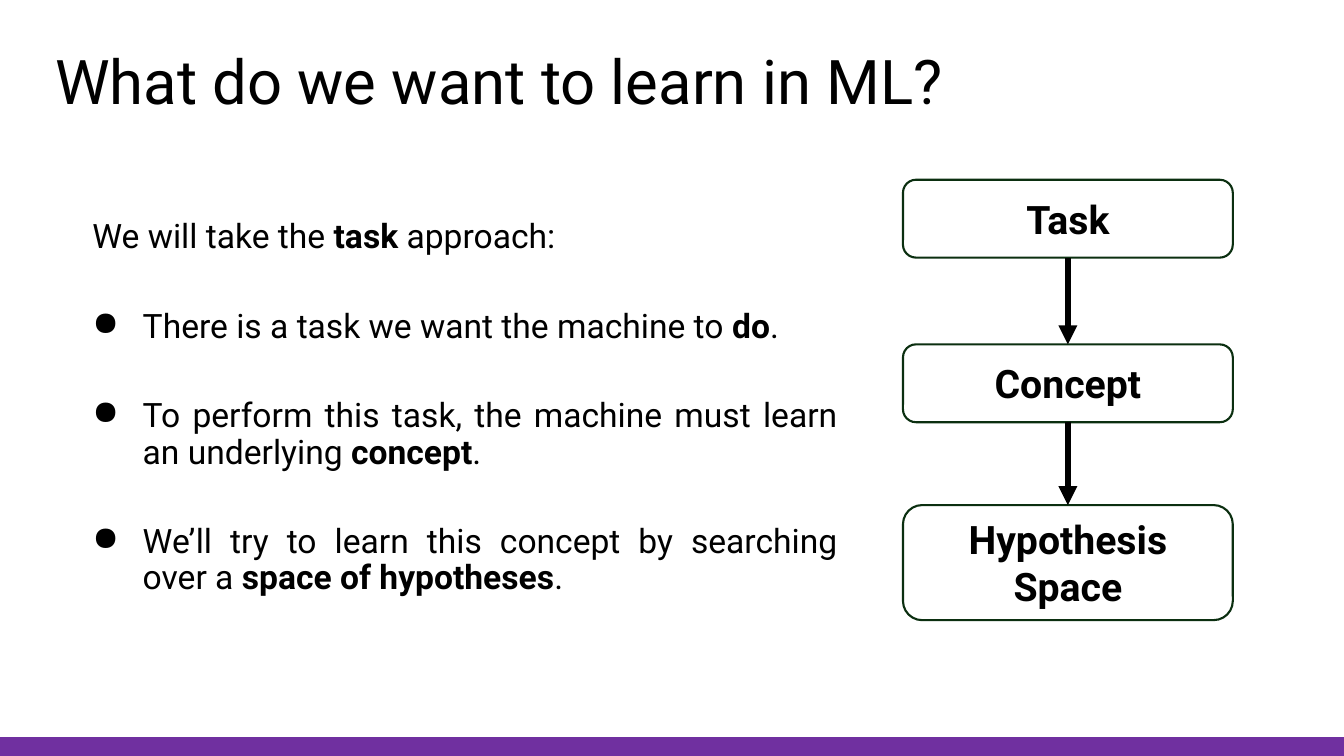
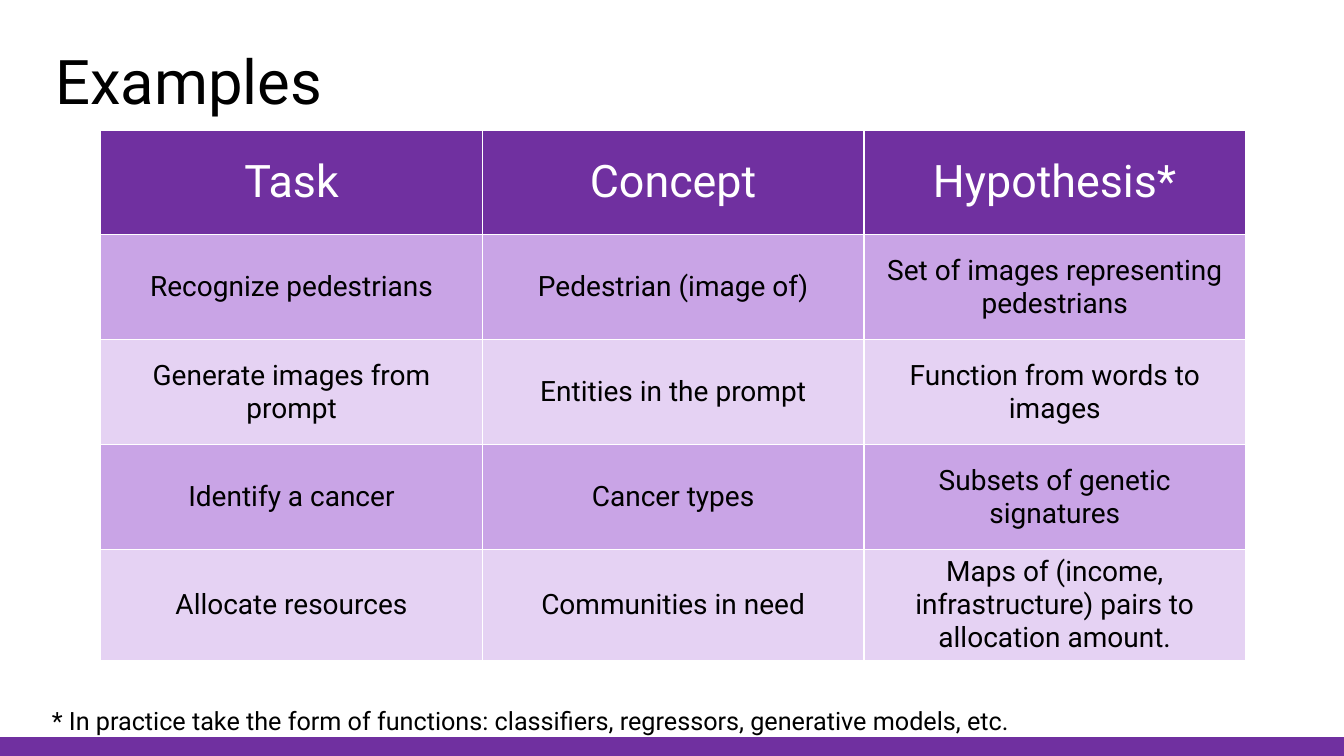
from itertools import pairwise

from lxml.etree import SubElement
from pptx import Presentation
from pptx.dml.color import RGBColor
from pptx.enum.shapes import MSO_CONNECTOR, MSO_SHAPE
from pptx.enum.text import MSO_ANCHOR, PP_ALIGN
from pptx.oxml.ns import qn
from pptx.util import Pt

WIDTH, HEIGHT = 960, 540


def color(hex_string):
    return RGBColor.from_string(hex_string)


class Deck:
    """Hold the shared style and the current slide, and draw elements in points."""

    font = "Roboto"
    text = "000000"
    white = "FFFFFF"
    purple = "7030A0"
    bands = ("C9A4E6", "E5D2F3")
    outline = "0B2F10"

    def __init__(self):
        self.presentation = Presentation()
        self.presentation.slide_width = Pt(WIDTH)
        self.presentation.slide_height = Pt(HEIGHT)
        self.slide = None

    def add_slide(self, title):
        self.slide = self.presentation.slides.add_slide(self.presentation.slide_layouts[6])
        band = self.add_shape(MSO_SHAPE.RECTANGLE, 0, 526.5, WIDTH, 13.5)
        band.fill.solid()
        band.fill.fore_color.rgb = color(self.purple)
        band.line.fill.background()
        frame = self.add_text_frame(32.4, 27.4, 894, 65.5, (7.2, 7.2, 7.2, 7.2))
        frame.vertical_anchor = MSO_ANCHOR.MIDDLE
        frame.text = title
        self.style(frame.paragraphs[0], 44)
        frame.paragraphs[0].line_spacing = 0.9

    def style(self, paragraph, size, hex_string=text, bold=None, align=PP_ALIGN.LEFT):
        paragraph.alignment = align
        paragraph.font.name = self.font
        paragraph.font.size = Pt(size)
        paragraph.font.color.rgb = color(hex_string)
        paragraph.font.bold = bold

    def add_shape(self, kind, left, top, width, height):
        shape = self.slide.shapes.add_shape(kind, Pt(left), Pt(top), Pt(width), Pt(height))
        shape.shadow.inherit = False
        return shape

    def add_text_frame(self, left, top, width, height, insets=(7.2, 3.6, 7.2, 3.6)):
        box = self.slide.shapes.add_textbox(Pt(left), Pt(top), Pt(width), Pt(height))
        frame = box.text_frame
        frame.word_wrap = True
        frame.margin_left, frame.margin_top, frame.margin_right, frame.margin_bottom = map(Pt, insets)
        return frame

    def add_note(self, text, left, top, width, height):
        frame = self.add_text_frame(left, top, width, height)
        frame.text = text
        self.style(frame.paragraphs[0], 18)

    def add_body(self, intro, points, left, top, width, height):
        frame = self.add_text_frame(left, top, width, height, (21.6, 36, 21.6, 7.2))
        for index, text in enumerate([intro, *points]):
            paragraph = frame.add_paragraph() if index else frame.paragraphs[0]
            self.style(paragraph, 24, align=PP_ALIGN.JUSTIFY)
            paragraph.line_spacing = 0.9
            paragraph.space_after = Pt(38)
            for position, part in enumerate(text.split("**")):
                run = paragraph.add_run()
                run.text = part
                if position % 2:
                    run.font.bold = True
            self.indent(paragraph, *((48, -36, "●") if index else (12, 0)))

    def indent(self, paragraph, margin, first_line, bullet=None):
        properties = paragraph._p.get_or_add_pPr()
        properties.set("marL", str(Pt(margin)))
        properties.set("indent", str(Pt(first_line)))
        if bullet:
            mark = properties.makeelement(qn("a:buChar"), {"char": bullet})
            properties.find(qn("a:defRPr")).addprevious(mark)

    def add_box(self, text, left, top, width, height):
        box = self.add_shape(MSO_SHAPE.ROUNDED_RECTANGLE, left, top, width, height)
        box.fill.background()
        box.line.color.rgb = color(self.outline)
        box.line.width = Pt(1.5)
        frame = box.text_frame
        frame.word_wrap = True
        frame.vertical_anchor = MSO_ANCHOR.MIDDLE
        frame.text = text
        self.style(frame.paragraphs[0], 28, bold=True, align=PP_ALIGN.CENTER)
        return box

    def add_arrow(self, upper, lower):
        arrow = self.slide.shapes.add_connector(MSO_CONNECTOR.STRAIGHT, 0, 0, 0, 0)
        arrow.begin_connect(upper, 2)
        arrow.end_connect(lower, 0)
        arrow.line.color.rgb = color(self.text)
        arrow.line.width = Pt(4.5)
        SubElement(arrow.line._get_or_add_ln(), qn("a:tailEnd"), type="triangle")
        SubElement(arrow._element.spPr, qn("a:effectLst"))

    def add_table(self, rows, left, top, column_width, row_height):
        columns = len(rows[0])
        table = self.slide.shapes.add_table(
            len(rows), columns, Pt(left), Pt(top),
            Pt(column_width * columns), Pt(row_height * len(rows)),
        ).table
        table.horz_banding = False
        for row_index, (row, texts) in enumerate(zip(table.rows, rows)):
            row.height = Pt(row_height)
            for cell, text in zip(row.cells, texts):
                cell.text = text
                cell.vertical_anchor = MSO_ANCHOR.MIDDLE
                self.add_borders(cell)
                cell.fill.solid()
                if row_index:
                    fill, size, ink = self.bands[(row_index - 1) % 2], 20, self.text
                else:
                    fill, size, ink = self.purple, 32, self.white
                cell.fill.fore_color.rgb = color(fill)
                self.style(cell.text_frame.paragraphs[0], size, ink, False, PP_ALIGN.CENTER)

    def add_borders(self, cell):
        properties = cell._tc.get_or_add_tcPr()
        for side in ("lnL", "lnR", "lnT", "lnB"):
            line = SubElement(properties, qn(f"a:{side}"), w=str(Pt(1)))
            fill = SubElement(line, qn("a:solidFill"))
            SubElement(fill, qn("a:srgbClr"), val=self.white)


def main():
    deck = Deck()

    deck.add_slide("What do we want to learn in ML?")
    deck.add_body(
        "We will take the **task** approach:",
        [
            "There is a task we want the machine to **do**.",
            "To perform this task, the machine must learn an underlying **concept**.",
            "We’ll try to learn this concept by searching over a **space of hypotheses**.",
        ],
        32.4, 121, 587.5, 358.6,
    )
    steps = [("Task", 128.4, 55.6), ("Concept", 246, 55.6), ("Hypothesis Space", 360.8, 82.2)]
    boxes = [deck.add_box(text, 645, top, 235.6, height) for text, top, height in steps]
    for upper, lower in pairwise(boxes):
        deck.add_arrow(upper, lower)

    deck.add_slide("Examples")
    deck.add_table(
        [
            ("Task", "Concept", "Hypothesis*"),
            ("Recognize pedestrians", "Pedestrian (image of)", "Set of images representing pedestrians"),
            ("Generate images from prompt", "Entities in the prompt", "Function from words to images"),
            ("Identify a cancer", "Cancer types", "Subsets of genetic signatures"),
            (
                "Allocate resources",
                "Communities in need",
                "Maps of (income, infrastructure) pairs to allocation amount.",
            ),
        ],
        72, 92.9, 272.6, 74.9,
    )
    deck.add_note(
        "* In practice take the form of functions: classifiers, regressors, generative models, etc.",
        30, 500.4, 784, 29,
    )

    deck.presentation.save("out.pptx")


if __name__ == "__main__":
    main()
